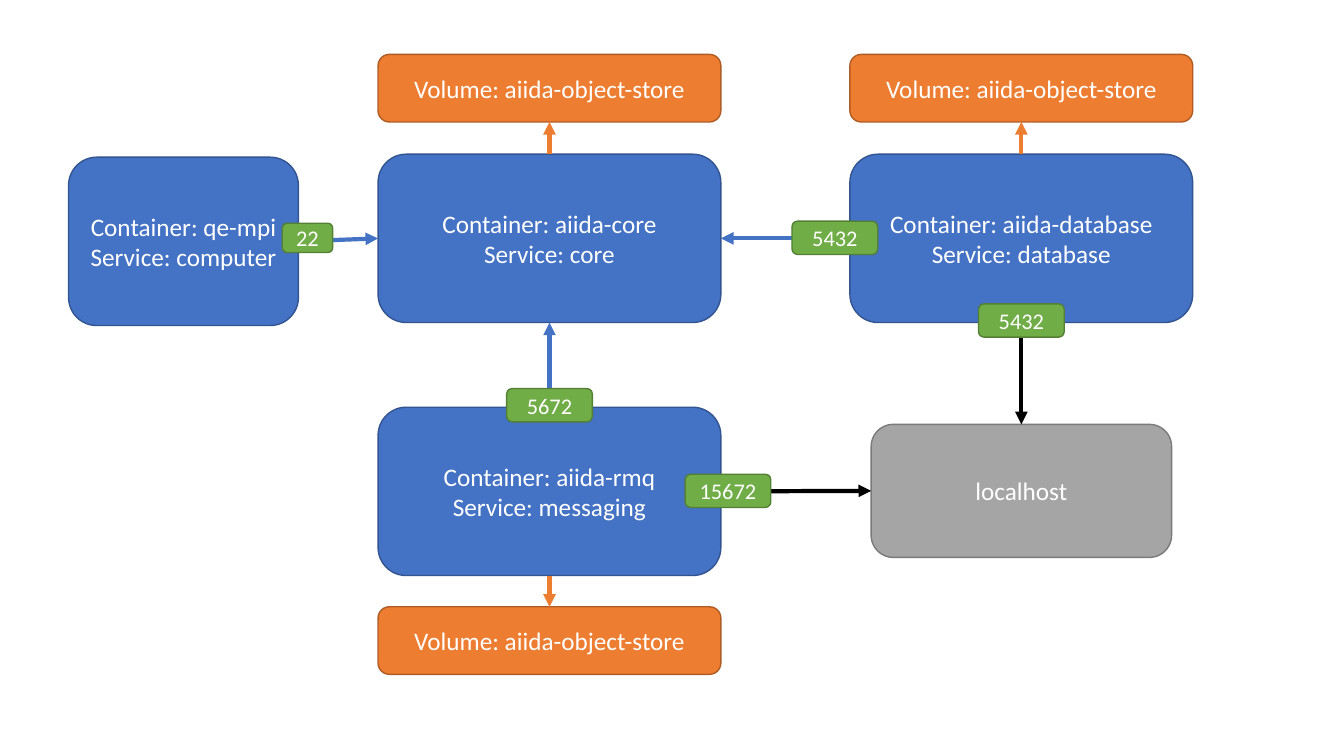
"""Draw the container, volume and port diagram of the service stack."""
from lxml.etree import SubElement
from pptx import Presentation
from pptx.dml.color import RGBColor
from pptx.enum.shapes import MSO_CONNECTOR, MSO_SHAPE
from pptx.enum.text import MSO_ANCHOR, PP_ALIGN
from pptx.oxml.ns import qn
from pptx.util import Inches, Pt

TOP, LEFT, BOTTOM, RIGHT = range(4)
BLUE, ORANGE, GREEN, GRAY, BLACK = "4472C4", "ED7D31", "70AD47", "A5A5A5", "000000"
OUTLINES = {BLUE: "325491", ORANGE: "AF5C24", GREEN: "538035", GRAY: "7A7A7A"}


def rgb(value):
    return RGBColor.from_string(value)


class Diagram:
    def __init__(self, slide, font="Calibri", text_color="FFFFFF"):
        self.slide = slide
        self.font = font
        self.text_color = text_color

    def box(self, text, left, top, width, height, color, size=18):
        box = self.slide.shapes.add_shape(
            MSO_SHAPE.ROUNDED_RECTANGLE,
            Inches(left), Inches(top), Inches(width), Inches(height))
        box.shadow.inherit = False
        box.fill.solid()
        box.fill.fore_color.rgb = rgb(color)
        box.line.color.rgb = rgb(OUTLINES[color])
        box.line.width = Pt(1)
        frame = box.text_frame
        frame.word_wrap = True
        frame.vertical_anchor = MSO_ANCHOR.MIDDLE
        frame.text = text
        for paragraph in frame.paragraphs:
            paragraph.alignment = PP_ALIGN.CENTER
            paragraph.font.name = self.font
            paragraph.font.size = Pt(size)
            paragraph.font.color.rgb = rgb(self.text_color)
        return box

    def container(self, name, service, left, top, width=3.4):
        return self.box(f"Container: {name}\nService: {service}",
                        left, top, width, 1.67, BLUE)

    def volume(self, left, top):
        return self.box("Volume: aiida-object-store", left, top, 3.4, 0.67, ORANGE)

    def port(self, number, center_x, center_y, width=0.85, height=0.33):
        return self.box(number, center_x - width / 2, center_y - height / 2,
                        width, height, GREEN, size=16)

    def arrow(self, source, source_side, target, target_side, color):
        arrow = self.slide.shapes.add_connector(MSO_CONNECTOR.STRAIGHT, 0, 0, 0, 0)
        arrow.begin_connect(source, source_side)
        arrow.end_connect(target, target_side)
        arrow.line.color.rgb = rgb(color)
        arrow.line.width = Pt(3)
        properties = arrow.element.spPr
        SubElement(properties.find(qn("a:ln")), qn("a:tailEnd"), type="triangle")
        SubElement(properties, qn("a:effectLst"))


presentation = Presentation()
presentation.slide_width = Inches(13.33)
presentation.slide_height = Inches(7.5)
diagram = Diagram(presentation.slides.add_slide(presentation.slide_layouts[6]))

MIDDLE_X, RIGHT_X = 3.75, 8.43
core = diagram.container("aiida-core", "core", MIDDLE_X, 1.53)
database = diagram.container("aiida-database", "database", RIGHT_X, 1.53)
messaging = diagram.container("aiida-rmq", "messaging", MIDDLE_X, 4.04)
computer = diagram.container("qe-mpi", "computer", 0.68, 1.56, width=2.28)
localhost = diagram.box("localhost", 8.64, 4.21, 2.98, 1.32, GRAY)
core_volume = diagram.volume(MIDDLE_X, 0.54)
database_volume = diagram.volume(RIGHT_X, 0.54)
messaging_volume = diagram.volume(MIDDLE_X, 6.02)

for link in (
    (database, LEFT, core, RIGHT, BLUE),
    (messaging, TOP, core, BOTTOM, BLUE),
    (computer, RIGHT, core, LEFT, BLUE),
    (messaging, RIGHT, localhost, LEFT, BLACK),
    (database, BOTTOM, localhost, TOP, BLACK),
    (core, TOP, core_volume, BOTTOM, ORANGE),
    (database, TOP, database_volume, BOTTOM, ORANGE),
    (messaging, BOTTOM, messaging_volume, TOP, ORANGE),
):
    diagram.arrow(*link)

diagram.port("5432", 8.28, 2.36)
diagram.port("5672", 5.45, 4.02)
diagram.port("15672", 7.22, 4.87)
diagram.port("5432", 10.13, 3.18)
diagram.port("22", 3.05, 2.36, width=0.5, height=0.29)

presentation.save("out.pptx")
